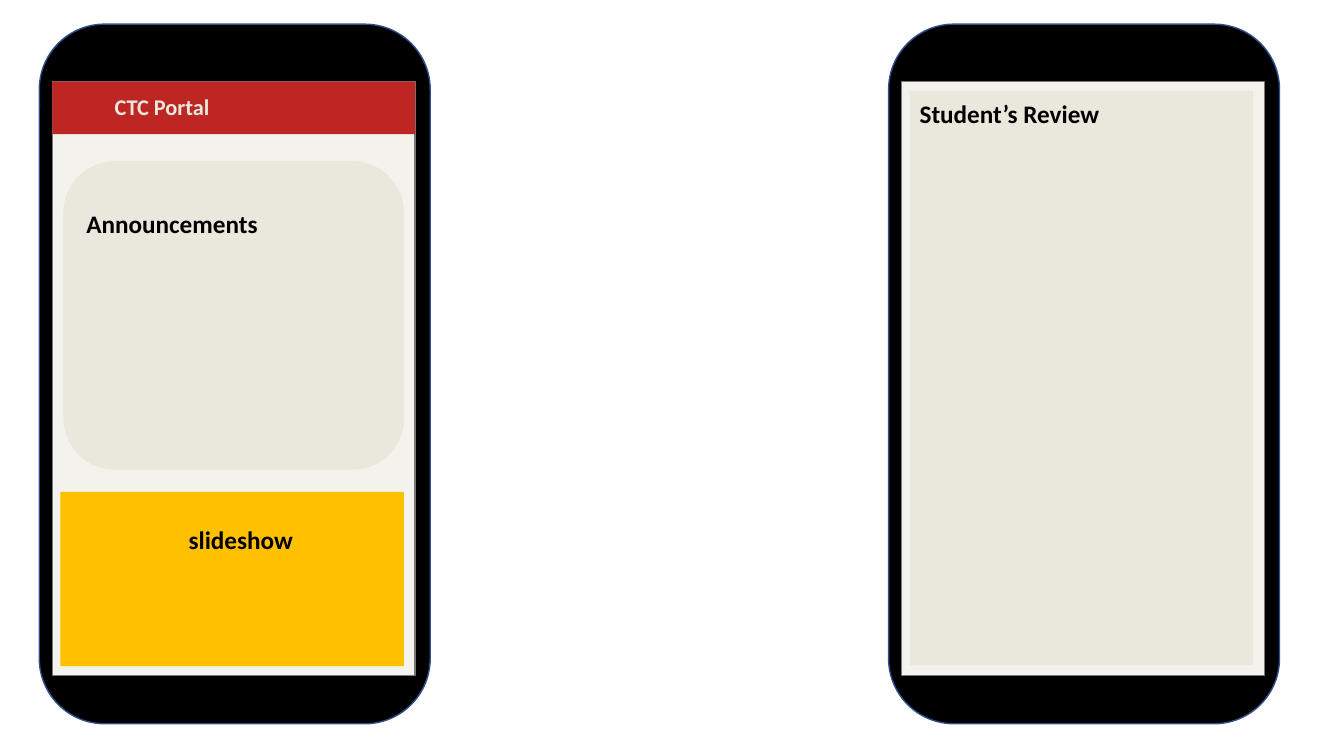
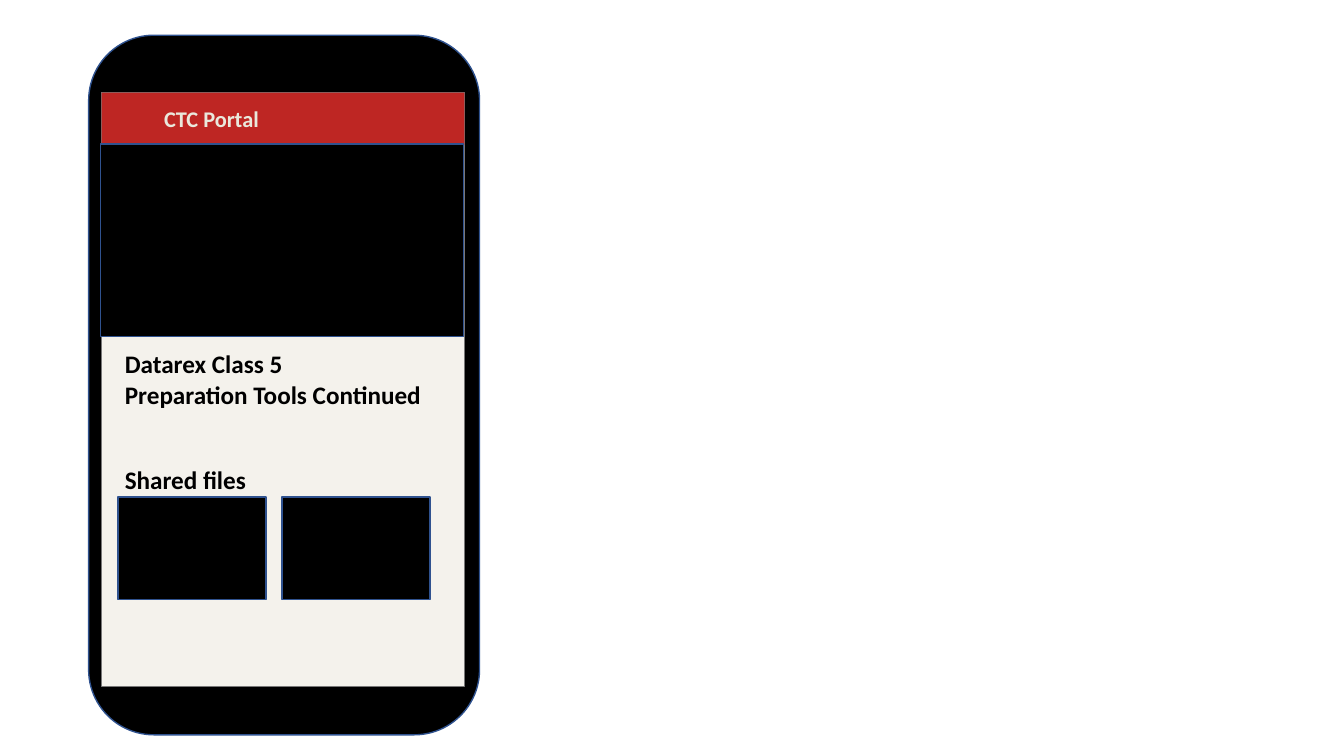
from pptx import Presentation
from pptx.dml.color import RGBColor
from pptx.enum.shapes import MSO_SHAPE as Kind
from pptx.enum.text import PP_ALIGN as Align
from pptx.util import Pt

PX = 9144  # 100 px to the inch
BLACK, CREAM, SAND = "000000", "F4F2EC", "EAE8DC"
RED, GOLD, BLUE, GRAY = "BE2623", "FFC000", "2F528F", "787878"
color = RGBColor.from_string


def box(page, x, y, w, h, fill, line=None, kind=Kind.RECTANGLE):
    shape = page.shapes.add_shape(kind, x * PX, y * PX, w * PX, h * PX)
    shape.shadow.inherit = False
    shape.fill.solid()
    shape.fill.fore_color.rgb = color(fill)
    if line:
        shape.line.color.rgb = color(line)
        shape.line.width = Pt(1)
    else:
        shape.line.fill.background()


def label(page, x, y, w, h, lines, size=18, tone=BLACK, align=Align.LEFT):
    frame = page.shapes.add_textbox(x * PX, y * PX, w * PX, h * PX).text_frame
    frame.word_wrap = True
    frame.text = "\n".join(lines)
    for para in frame.paragraphs:
        para.alignment = align
        font = para.font
        font.name, font.size, font.bold = "Calibri", Pt(size), True
        font.color.rgb = color(tone)


deck = Presentation()
deck.slide_width, deck.slide_height = 1334 * PX, 750 * PX
blank = deck.slide_layouts[6]
home = deck.slides.add_slide(blank)
lesson = deck.slides.add_slide(blank)

# Phones: body, screen and, where there is one, the header
for page, x, y, header in [(home, 882, 24, False),
                           (home, 39, 24, True),
                           (lesson, 88, 35, True)]:
    box(page, x, y, 388, 694, BLACK, BLUE, Kind.ROUNDED_RECTANGLE)
    box(page, x + 13, y + 57, 360, 589, CREAM, GRAY)
    if header:
        box(page, x + 13, y + 57, 360, 52, RED)
        label(page, x + 65, y + 64, 360, 37, ["CTC Portal"], 16, SAND)

# Review screen
box(home, 903, 90, 341, 570, SAND)
label(home, 903, 93, 270, 40, ["Student’s Review"])

# Home screen: announcements and slideshow
box(home, 63, 160, 338, 306, SAND, kind=Kind.ROUNDED_RECTANGLE)
label(home, 76, 202, 268, 40, ["Announcements"])
box(home, 60, 488, 341, 173, GOLD)
label(home, 104, 515, 270, 40, ["slideshow"], align=Align.CENTER)

# Lesson screen: video, title and shared files
box(lesson, 100, 143, 360, 191, BLACK, BLUE)
label(lesson, 114, 341, 331, 100,
      ["Datarex Class 5", "Preparation Tools Continued"])
label(lesson, 114, 456, 331, 40, ["Shared files"])
for i in range(2):
    box(lesson, 117 + i * 163, 493, 147, 102, BLACK, BLUE)

deck.save("out.pptx")
